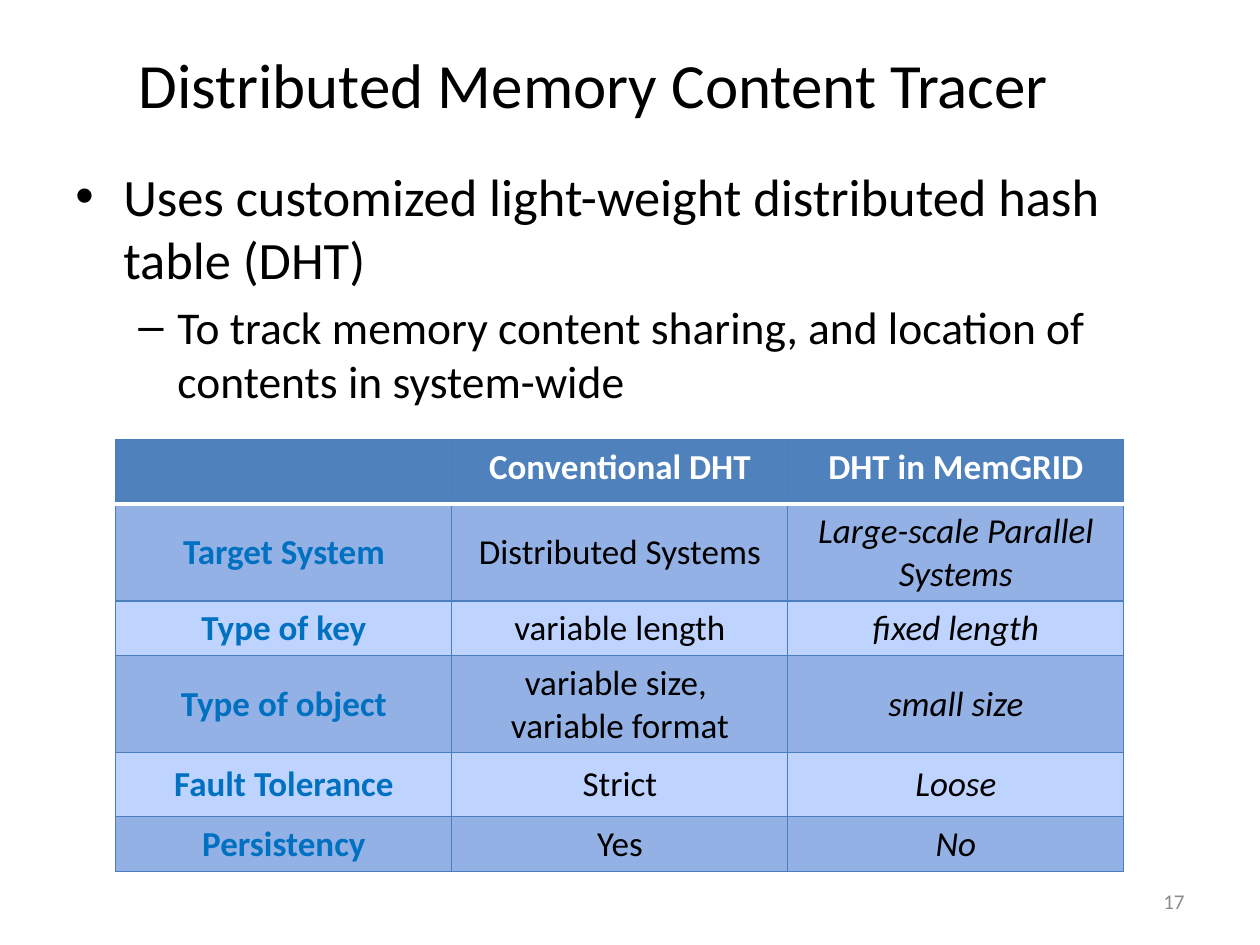
from lxml import etree
from pptx import Presentation
from pptx.dml.color import RGBColor
from pptx.enum.text import MSO_ANCHOR, PP_ALIGN
from pptx.oxml.ns import qn
from pptx.util import Inches, Pt

TOP, MIDDLE = MSO_ANCHOR.TOP, MSO_ANCHOR.MIDDLE
LEFT, CENTER, RIGHT = PP_ALIGN.LEFT, PP_ALIGN.CENTER, PP_ALIGN.RIGHT

BLACK = RGBColor(0x00, 0x00, 0x00)
WHITE = RGBColor(0xFF, 0xFF, 0xFF)
GRAY = RGBColor(0x8C, 0x8C, 0x8C)
HEADER_BLUE = RGBColor(0x4F, 0x81, 0xBD)
LABEL_BLUE = RGBColor(0x00, 0x70, 0xC0)
DARK_BAND = RGBColor(0x93, 0xB1, 0xE4)
LIGHT_BAND = RGBColor(0xBF, 0xD3, 0xFF)
GRID_BLUE = RGBColor(0x4B, 0x7E, 0xBC)

FONT = "Calibri"
WIDTH, HEIGHT = 10, 7.5
ROW_HEIGHTS = [0.51, 0.77, 0.43, 0.77, 0.51, 0.43]

POINTS = [
    ("Uses customized light-weight distributed hash table (DHT)", 30, "•", 0.38, 0.38),
    ("To track memory content sharing, and location of contents in system-wide",
     26, "–", 0.81, 0.31),
]
COMPARISON = [
    ["", "Conventional DHT", "DHT in MemGRID"],
    ["Target System", "Distributed Systems", "Large-scale Parallel Systems"],
    ["Type of key", "variable length", "fixed length"],
    ["Type of object", "variable size, \nvariable format", "small size"],
    ["Fault Tolerance", "Strict", "Loose"],
    ["Persistency", "Yes", "No"],
]


def style(paragraph, size, color, align=LEFT, bold=False, italic=False):
    paragraph.alignment = align
    for font in [paragraph.font] + [run.font for run in paragraph.runs]:
        font.name = FONT
        font.size = Pt(size)
        font.color.rgb = color
        font.bold = bold
        font.italic = italic


def text_frame_in(slide, box, anchor):
    frame = slide.shapes.add_textbox(*map(Inches, box)).text_frame
    frame.word_wrap = True
    frame.vertical_anchor = anchor
    return frame


def add_line(slide, box, text, size, color, align):
    frame = text_frame_in(slide, box, MIDDLE)
    frame.text = text
    style(frame.paragraphs[0], size, color, align)


def add_bullet(paragraph, mark, indent, hanging):
    properties = paragraph._p.get_or_add_pPr()
    properties.set("marL", str(Inches(indent)))
    properties.set("indent", str(-Inches(hanging)))
    etree.SubElement(properties, qn("a:buFont"), typeface="Arial")
    etree.SubElement(properties, qn("a:buChar"), char=mark)


def add_points(slide, box):
    frame = text_frame_in(slide, box, TOP)
    frame.text = "\n".join(point[0] for point in POINTS)
    for level, (paragraph, point) in enumerate(zip(frame.paragraphs, POINTS)):
        _, size, mark, indent, hanging = point
        paragraph.level = level
        paragraph.space_before = Pt(size * 0.2)
        style(paragraph, size, BLACK)
        add_bullet(paragraph, mark, indent, hanging)


def add_border(cell, side, color, width):
    line = etree.SubElement(cell._tc.get_or_add_tcPr(), qn(f"a:ln{side}"), w=str(Pt(width)))
    fill = etree.SubElement(line, qn("a:solidFill"))
    etree.SubElement(fill, qn("a:srgbClr"), val=str(color))


def format_cell(cell, row, column):
    header_edge = {0: "B", 1: "T"}.get(row)
    for side in "LRTB":
        color, width = (WHITE, 2) if side == header_edge else (GRID_BLUE, 0.75)
        add_border(cell, side, color, width)
    cell.fill.solid()
    if row == 0:
        cell.fill.fore_color.rgb = HEADER_BLUE
        text_color = WHITE
    else:
        cell.fill.fore_color.rgb = DARK_BAND if row % 2 else LIGHT_BAND
        text_color = LABEL_BLUE if column == 0 else BLACK
    cell.vertical_anchor = MIDDLE if row else TOP
    for paragraph in cell.text_frame.paragraphs:
        style(paragraph, 20, text_color, CENTER,
              bold=row == 0 or column == 0, italic=row > 0 and column == 2)


def add_comparison(slide, box):
    table = slide.shapes.add_table(
        len(COMPARISON), len(COMPARISON[0]), *map(Inches, box)).table
    for row, (texts, height) in enumerate(zip(COMPARISON, ROW_HEIGHTS)):
        table.rows[row].height = Inches(height)
        for column, text in enumerate(texts):
            cell = table.cell(row, column)
            cell.text_frame.text = text
            format_cell(cell, row, column)


def main():
    presentation = Presentation()
    presentation.slide_width = Inches(WIDTH)
    presentation.slide_height = Inches(HEIGHT)
    slide = presentation.slides.add_slide(presentation.slide_layouts[6])
    add_line(slide, (0, 0.25, 9.42, 0.83), "Distributed Memory Content Tracer",
             36, BLACK, CENTER)
    add_points(slide, (0.5, 1.25, 9.08, 6.08))
    add_comparison(slide, (0.92, 3.49, 8, sum(ROW_HEIGHTS)))
    add_line(slide, (7.17, 6.95, 2.33, 0.4), "17", 12, GRAY, RIGHT)
    presentation.save("out.pptx")


if __name__ == "__main__":
    main()
